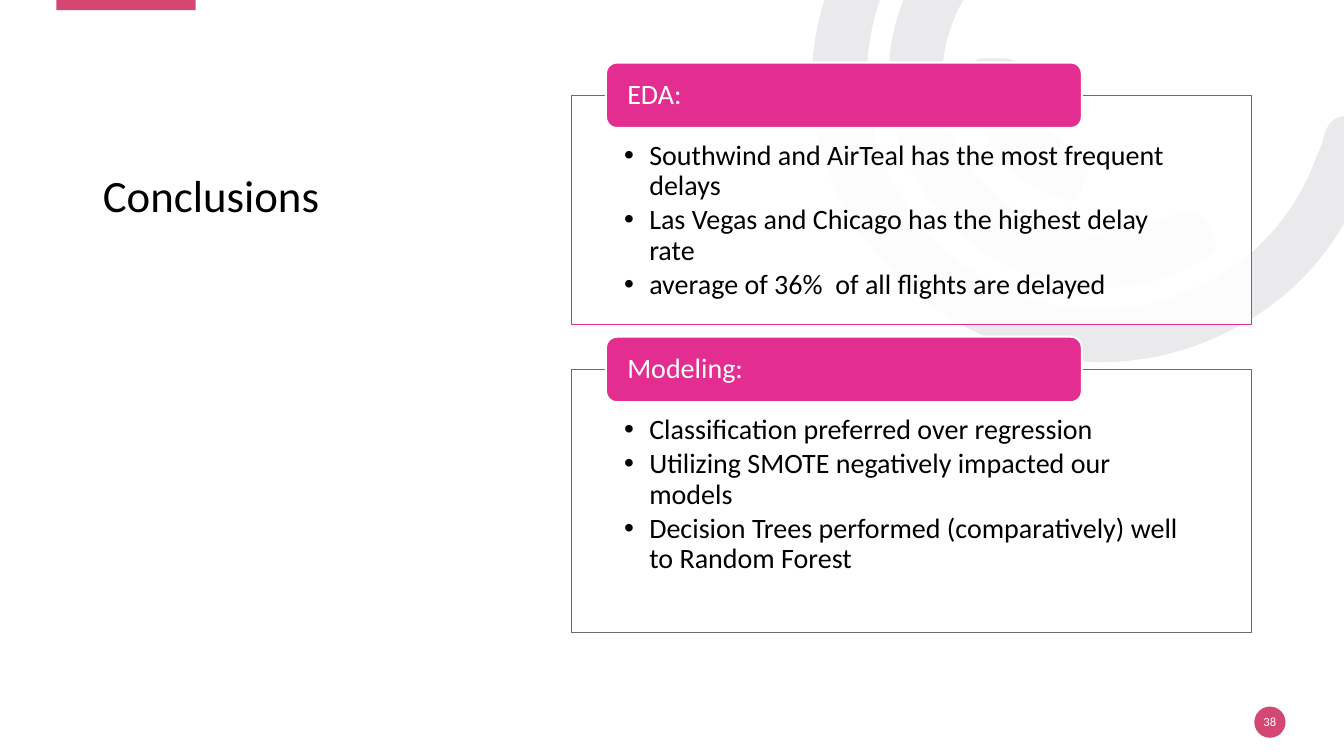
from lxml import etree
from pptx import Presentation
from pptx.dml.color import RGBColor
from pptx.enum.shapes import MSO_CONNECTOR, MSO_SHAPE
from pptx.enum.text import MSO_ANCHOR, PP_ALIGN
from pptx.oxml.ns import qn
from pptx.util import Pt

RECT, ROUNDED, OVAL = MSO_SHAPE.RECTANGLE, MSO_SHAPE.ROUNDED_RECTANGLE, MSO_SHAPE.OVAL
TOP, MIDDLE, BOTTOM = MSO_ANCHOR.TOP, MSO_ANCHOR.MIDDLE, MSO_ANCHOR.BOTTOM
LEFT, CENTER = PP_ALIGN.LEFT, PP_ALIGN.CENTER
PX = 9144  # 100 px to the inch
FONT = "Calibri"
BLACK, WHITE, GREY, ARC_GREY = "000000", "FFFFFF", "6B6B6B", "D8D9DC"
PINK, ROSE = "E32D91", "D54773"

TITLE = "Conclusions"
PAGE_NUMBER = "38"
# heading, top, height, bullets
PANELS = [
    ("EDA:", 95, 227, [
        "Southwind and AirTeal has the most frequent delays",
        "Las Vegas and Chicago has the highest delay rate ",
        "average of 36%  of all flights are delayed",
    ]),
    ("Modeling:", 367, 261, [
        "Classification preferred over regression",
        "Utilizing SMOTE negatively impacted our models",
        "Decision Trees performed (comparatively) well to Random Forest",
    ]),
]
PANEL_LEFT, PANEL_WIDTH = 567, 674
TAB_LEFT, TAB_WIDTH, TAB_HEIGHT, TAB_RISE = 601, 472, 65, 33

# Each arc: start point, then cubic curves of two handles and an end point
ARCS = [
    ((851, 229), [
        (799, 149), (787, 50), (838, -50), (890, -152), (976, -203), (1090, -207),
        (1105, -207), (1121, -210), (1131, -195), (1144, -175), (1127, -154), (1098, -154),
        (967, -154), (865, -59), (860, 68), (856, 181), (936, 281), (1046, 302),
        (1160, 324), (1270, 261), (1307, 152), (1309, 148), (1311, 144), (1312, 140),
        (1316, 119), (1327, 111), (1349, 117), (1373, 124), (1367, 141), (1361, 156),
        (1334, 245), (1278, 307), (1191, 341), (1070, 387), (936, 345), (851, 229)]),
    ((922, 199), [
        (862, 115), (869, 7), (940, -68), (951, -79), (962, -95), (980, -78),
        (995, -64), (997, -50), (979, -32), (925, 26), (920, 108), (965, 168),
        (1008, 229), (1088, 249), (1161, 215), (1182, 205), (1193, 212), (1203, 229),
        (1213, 250), (1197, 256), (1183, 263), (1096, 310), (983, 282), (922, 199)]),
    ((987, 151), [
        (975, 130), (964, 107), (964, 82), (964, 73), (961, 57), (976, 58),
        (992, 59), (1013, 53), (1016, 76), (1021, 110), (1036, 132), (1067, 148),
        (1088, 157), (1076, 176), (1072, 189), (1068, 206), (1055, 198), (1045, 194),
        (1021, 187), (1003, 170), (987, 151)]),
]


def color(value):
    return RGBColor.from_string(value)


def paint(shape, fill, opacity=100, line=None, line_width=1):
    shape.shadow.inherit = False
    shape.fill.solid()
    shape.fill.fore_color.rgb = color(fill)
    if opacity < 100:
        tint = shape.fill._xPr.find(".//" + qn("a:srgbClr"))
        etree.SubElement(tint, qn("a:alpha")).set("val", str(opacity * 1000))
    if line:
        shape.line.color.rgb = color(line)
        shape.line.width = Pt(line_width)
    else:
        shape.line.fill.background()


def add_box(page, kind, left, top, width, height):
    return page.shapes.add_shape(kind, left * PX, top * PX, width * PX, height * PX)


def set_frame(shape, anchor, left, top, right, bottom):
    frame = shape.text_frame
    frame.word_wrap = True
    frame.vertical_anchor = anchor
    frame.margin_left, frame.margin_top = left * PX, top * PX
    frame.margin_right, frame.margin_bottom = right * PX, bottom * PX
    return frame


def write(para, text, size, ink, align=LEFT):
    para.alignment = align
    para.line_spacing = 0.9
    span = para.add_run()
    span.text = text
    span.font.name = FONT
    span.font.size = Pt(size)
    span.font.color.rgb = color(ink)


def add_bullet(para):
    props = para._p.get_or_add_pPr()
    props.set("marL", str(25 * PX))
    props.set("indent", str(-25 * PX))
    etree.SubElement(props, qn("a:buFont")).set("typeface", "Arial")
    etree.SubElement(props, qn("a:buChar")).set("char", "•")


def bend(shape):
    """Turn every three straight segments of a freeform into one cubic curve."""
    segments = list(shape._element.iter(qn("a:lnTo")))
    for first, second, last in zip(segments[::3], segments[1::3], segments[2::3]):
        curve = etree.Element(qn("a:cubicBezTo"))
        first.addprevious(curve)
        for segment in (first, second, last):
            curve.append(segment[0])
            segment.getparent().remove(segment)


def add_arc(page, start, points):
    builder = page.shapes.build_freeform(*start, scale=PX)
    builder.add_line_segments(points, close=True)
    arc = builder.convert_to_shape()
    bend(arc)
    paint(arc, ARC_GREY, 53)


def add_panel(page, heading, top, height, bullets):
    panel = add_box(page, RECT, PANEL_LEFT, top, PANEL_WIDTH, height)
    paint(panel, WHITE, 90, GREY, 0.75)
    frame = set_frame(panel, TOP, 52, 45, 52, 16)
    for index, text in enumerate(bullets):
        para = frame.add_paragraph() if index else frame.paragraphs[0]
        add_bullet(para)
        write(para, text, 20, BLACK)
        para.space_after = Pt(3)

    tab = add_box(page, ROUNDED, TAB_LEFT, top - TAB_RISE, TAB_WIDTH, TAB_HEIGHT)
    paint(tab, PINK, line=WHITE, line_width=1.5)
    frame = set_frame(tab, MIDDLE, 18, 0, 18, 0)
    write(frame.paragraphs[0], heading, 20, WHITE)


def add_rule(page, left, right, y):
    rule = page.shapes.add_connector(
        MSO_CONNECTOR.STRAIGHT, left * PX, y * PX, right * PX, y * PX)
    rule.line.color.rgb = color(PINK)
    rule.line.width = Pt(1)
    etree.SubElement(rule._element.spPr, qn("a:effectLst"))


def main():
    deck = Presentation()
    deck.slide_width, deck.slide_height = 1333 * PX, 750 * PX
    page = deck.slides.add_slide(deck.slide_layouts[5])

    for start, points in ARCS:
        add_arc(page, start, points)
    paint(add_box(page, RECT, 56, -2, 138, 12), ROSE)

    badge = add_box(page, OVAL, 1244, 701, 31, 31)
    paint(badge, ROSE)
    frame = set_frame(badge, MIDDLE, 0, 0, 0, 0)
    frame.word_wrap = False
    write(frame.paragraphs[0], PAGE_NUMBER, 9, WHITE, CENTER)

    title = page.shapes.title
    title.left, title.top, title.width, title.height = 92 * PX, 50 * PX, 430 * PX, 175 * PX
    frame = set_frame(title, BOTTOM, 10, 5, 10, 5)
    write(frame.paragraphs[0], TITLE, 32, BLACK)

    for panel in PANELS:
        add_panel(page, *panel)
    _, top, height, _ = PANELS[0]
    add_rule(page, PANEL_LEFT, PANEL_LEFT + PANEL_WIDTH, top + height)

    deck.save("out.pptx")


if __name__ == "__main__":
    main()
